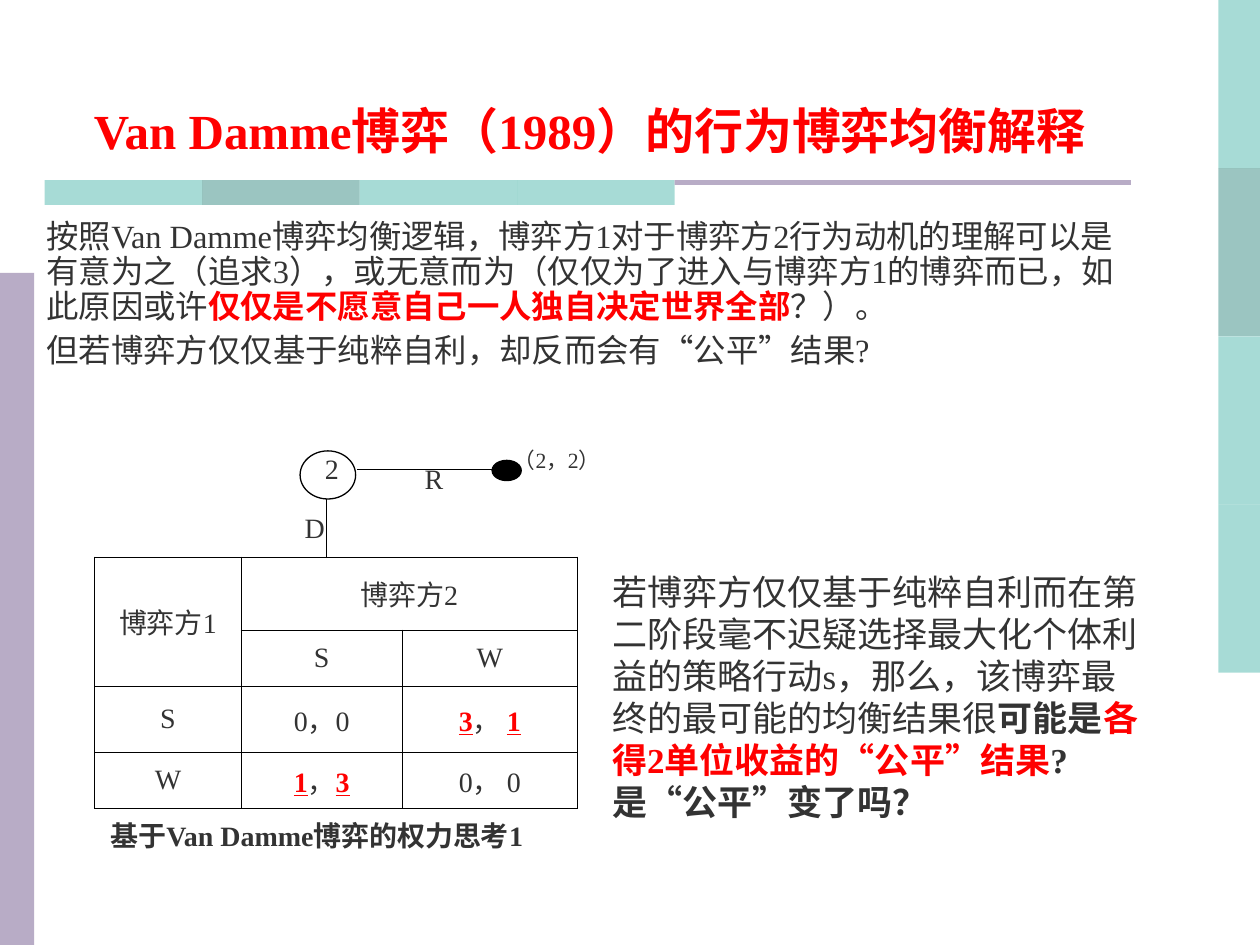
from lxml import etree
from pptx import Presentation
from pptx import util as u
from pptx.dml.color import RGBColor
from pptx.enum import shapes, text
from pptx.oxml.ns import qn

FONT = "Times New Roman"
GREY, RED, BLACK = "333333", "FF0000", "000000"
TEAL, DARK_TEAL, PURPLE = "51B9AF", "398D85", "B8ACC6"
CENTER, JUSTIFY = text.PP_ALIGN.CENTER, text.PP_ALIGN.JUSTIFY


def rgb(hex_color):
    return RGBColor.from_string(hex_color)


def add_runs(paragraph, runs, size):
    """Each run is (words, colour, bold, underlined); all but words may be left out."""
    for words, color, bold, underlined in runs:
        run = paragraph.add_run()
        run.text = words
        run.font.name, run.font.size = FONT, u.Pt(size)
        run.font.bold, run.font.underline = bold, underlined
        run.font.color.rgb = rgb(color)


def styled(words, color=GREY, bold=False, underlined=False):
    return words, color, bold, underlined


def add_text(slide, box, paragraphs, size, align=None, spacing=None,
             anchor=text.MSO_ANCHOR.TOP, wrap=True):
    frame = slide.shapes.add_textbox(*map(u.Cm, box)).text_frame
    frame.word_wrap = wrap
    frame.vertical_anchor = anchor
    for index, runs in enumerate(paragraphs):
        paragraph = frame.add_paragraph() if index else frame.paragraphs[0]
        paragraph.alignment = align
        paragraph.line_spacing = spacing
        if index:
            paragraph.space_before = u.Pt(5)
        add_runs(paragraph, runs, size)


def add_shape(slide, kind, box, fill=None, alpha=None, line_width=None):
    shape = slide.shapes.add_shape(kind, *map(u.Cm, box))
    shape.shadow.inherit = False
    if fill:
        shape.fill.solid()
        shape.fill.fore_color.rgb = rgb(fill)
    else:
        shape.fill.background()
    if alpha:
        color = shape.fill._xPr.find(qn("a:solidFill"))[0]
        etree.SubElement(color, qn("a:alpha"), val=str(alpha * 1000))
    if line_width:
        shape.line.color.rgb = rgb(BLACK)
        shape.line.width = u.Pt(line_width)
    else:
        shape.line.fill.background()


def add_line(slide, *ends):
    line = slide.shapes.add_connector(shapes.MSO_CONNECTOR.STRAIGHT, *map(u.Cm, ends))
    line.line.color.rgb = rgb(BLACK)
    line.line.width = u.Pt(0.75)
    etree.SubElement(line._element.spPr, qn("a:effectLst"))


def add_decoration(slide):
    rectangle = shapes.MSO_SHAPE.RECTANGLE
    for index, color in enumerate([TEAL, DARK_TEAL, TEAL, TEAL]):
        add_shape(slide, rectangle, (24.56, index * 3.39, 0.84, 3.39), color, 50)
        add_shape(slide, rectangle, (0.9 + index * 3.175, 3.63, 3.175, 0.5), color, 50)
    add_shape(slide, rectangle, (0, 5.5, 0.69, 13.55), PURPLE)
    add_shape(slide, rectangle, (13.6, 3.63, 9.2, 0.1), PURPLE)


def format_cell(cell):
    properties = cell._tc.get_or_add_tcPr()
    for side in ("lnL", "lnR", "lnT", "lnB"):
        border = etree.SubElement(properties, qn("a:" + side), w=str(u.Pt(0.45)))
        fill = etree.SubElement(border, qn("a:solidFill"))
        etree.SubElement(fill, qn("a:srgbClr"), val=BLACK)
    cell.fill.background()
    cell.vertical_anchor = text.MSO_ANCHOR.MIDDLE


def add_payoff_table(slide):
    widths, heights = [2.95, 3.25, 3.53], [1.47, 1.14, 1.32, 1.14]

    def best(first, comma, second):
        return [styled(first, RED, True, True), styled(comma), styled(second, RED, True, True)]

    rows = [
        [[styled("博弈方1")], [styled("博弈方2")], []],
        [[], [styled("S")], [styled("W")]],
        [[styled("S")], [styled("0，0")], best("3", "， ", "1")],
        [[styled("W")], best("1", "，", "3"), [styled("0， 0")]],
    ]
    box = (1.91, 11.23, sum(widths), sum(heights))
    table = slide.shapes.add_table(len(rows), len(widths), *map(u.Cm, box)).table
    table.first_row = table.horz_banding = False
    for column, width in zip(table.columns, widths):
        column.width = u.Cm(width)
    for row, height in zip(table.rows, heights):
        row.height = u.Cm(height)
    table.cell(0, 0).merge(table.cell(1, 0))
    table.cell(0, 1).merge(table.cell(0, 2))
    for row, contents in zip(table.rows, rows):
        for cell, runs in zip(row.cells, contents):
            format_cell(cell)
            paragraph = cell.text_frame.paragraphs[0]
            paragraph.alignment = CENTER
            add_runs(paragraph, runs, 16)


def add_game_tree(slide):
    for label, left, top in [("2", 6.3, 8.97), ("D", 5.89, 10.16), ("R", 8.31, 9.17)]:
        add_text(slide, (left, top, 1.12, 0.94), [[styled(label)]], 16, JUSTIFY)
    add_text(slide, (10.11, 8.99, 2.82, 0.97), [[styled("（2，2）")]], 12.4, JUSTIFY, 0.8)
    add_line(slide, 6.58, 11.25, 6.58, 10.06)
    add_line(slide, 7.2, 9.47, 10, 9.47)
    oval = shapes.MSO_SHAPE.OVAL
    add_shape(slide, oval, (6.05, 9.09, 1.12, 0.97), line_width=0.75)
    add_shape(slide, oval, (9.93, 9.29, 0.57, 0.39), BLACK, line_width=1.25)


def main():
    presentation = Presentation()
    presentation.slide_width, presentation.slide_height = u.Cm(25.4), u.Cm(19.05)
    slide = presentation.slides.add_slide(presentation.slide_layouts[6])
    add_decoration(slide)
    add_payoff_table(slide)
    add_game_tree(slide)
    add_text(slide, (1.98, 16.38, 9.27, 0.94),
             [[styled("基于Van Damme博弈的权力思考1", bold=True)]], 16, wrap=False)
    add_text(slide, (12.09, 11.38, 11.2, 5.38), [[
        styled("若博弈方仅仅基于纯粹自利而在第二阶段毫不迟疑选择最大化个体利益的策略行动s，"
               "那么，该博弈最终的最可能的均衡结果很"),
        styled("可能是", bold=True),
        styled("各得2单位收益的“公平”结果", RED, True),
        styled("?是“公平”变了吗？", bold=True),
    ]], 20)
    add_text(slide, (0.89, 1.78, 22, 1.55),
             [[styled("Van Damme博弈（1989）的行为博弈均衡解释", RED, True)]],
             28, CENTER, anchor=text.MSO_ANCHOR.BOTTOM)
    add_text(slide, (0.69, 4.32, 22.6, 3.76), [
        [styled("按照Van Damme博弈均衡逻辑，博弈方1对于博弈方2行为动机的理解可以是有意为之"
                "（追求3），或无意而为（仅仅为了进入与博弈方1的博弈而已，如此原因或许"),
         styled("仅仅是不愿意自己一人独自决定世界全部", RED, True),
         styled("？）。")],
        [styled("但若博弈方仅仅基于纯粹自利，却反而会有“公平”结果?")],
    ], 18.5, spacing=0.9)
    presentation.save("out.pptx")


if __name__ == "__main__":
    main()
